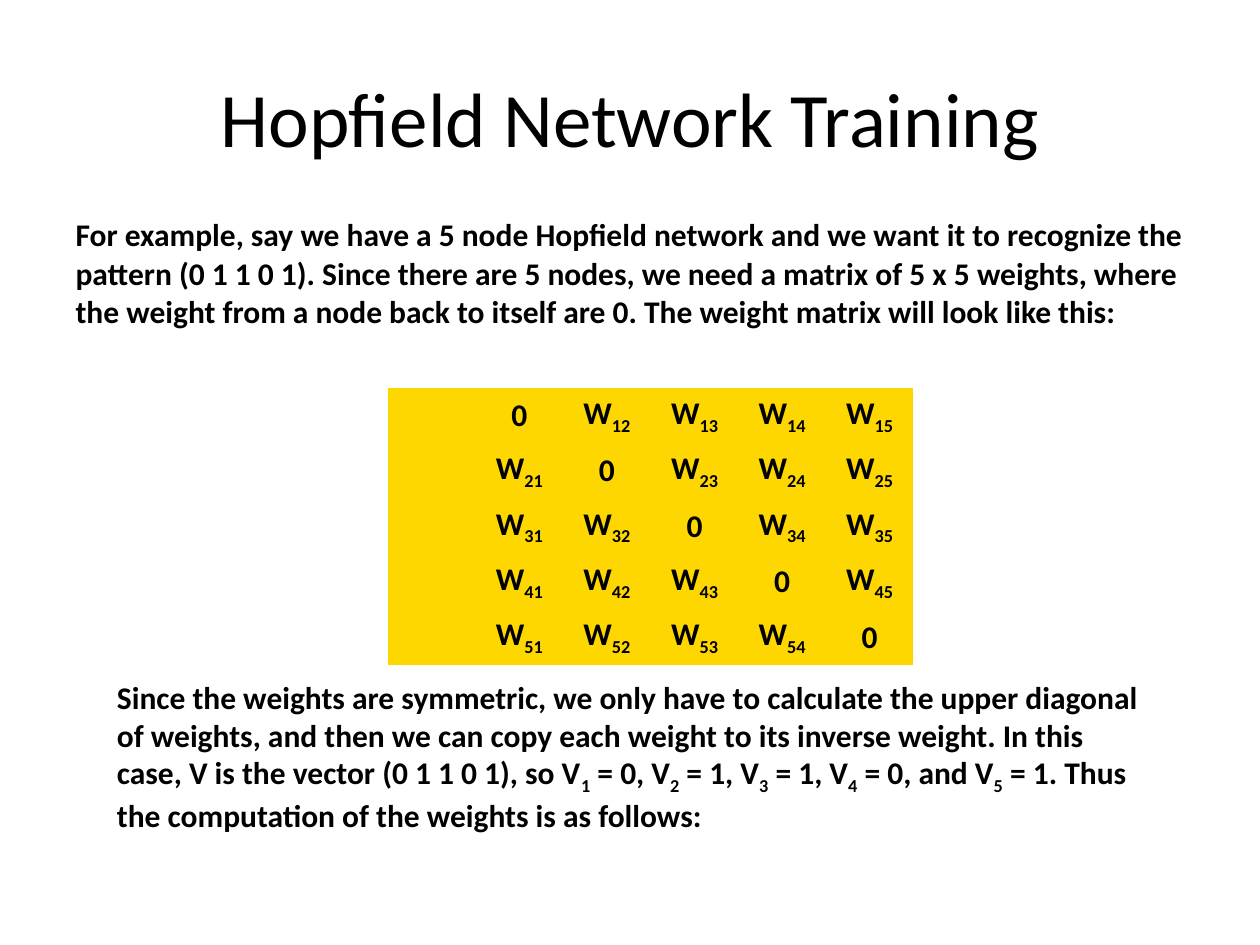
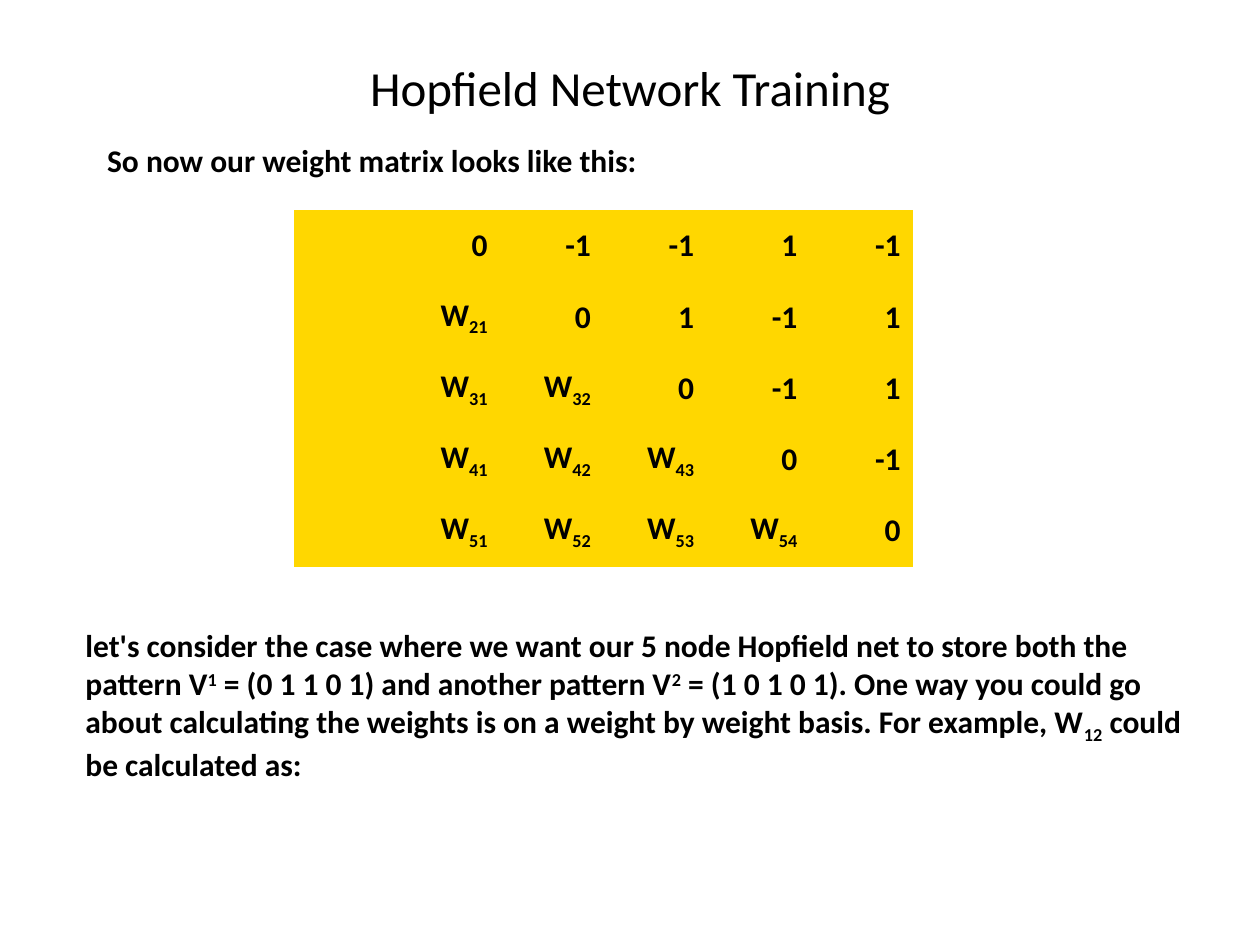
"""Build two slides on training the weight matrix of a Hopfield network."""
import pptx
import pptx.dml.color
import pptx.enum.text
import pptx.util

FONT = "Calibri"
BLACK = "000000"
GOLD = "FFD700"
TITLE = "Hopfield Network Training"
NODES = 5
BODY_SIZE = 18
PLAIN_TABLE_STYLE = "{2D5ABB26-0587-4C30-8999-92F81FD0307C}"
BASELINES = {"_": "-25000", "^": "30000"}
ALIGN = pptx.enum.text.PP_ALIGN
ANCHOR = pptx.enum.text.MSO_ANCHOR


def color(hex_string):
    """Turn a hex string into a colour."""
    return pptx.dml.color.RGBColor.from_string(hex_string)


def write(paragraph, marked_text, size=BODY_SIZE, bold=True, alignment=ALIGN.LEFT):
    """Write text whose pieces, parted by |, are lowered by _ or raised by ^."""
    paragraph.alignment = alignment
    for piece in filter(None, marked_text.split("|")):
        run = paragraph.add_run()
        run.text = piece.lstrip("_^")
        run.font.name = FONT
        run.font.size = pptx.util.Pt(size)
        run.font.bold = bold
        run.font.color.rgb = color(BLACK)
        if piece[0] in BASELINES:
            run._r.get_or_add_rPr().set("baseline", BASELINES[piece[0]])


symbolic_weights = [
    ["0" if row == column else f"W|_{row}{column}" for column in range(1, NODES + 1)]
    for row in range(1, NODES + 1)
]
pattern = [0, 1, 1, 0, 1]
signs = [2 * value - 1 for value in pattern]
computed_weights = [
    [str(signs[row] * signs[column]) if column > row else symbolic_weights[row][column]
     for column in range(NODES)]
    for row in range(NODES)
]

slides = [
    {
        "title_size": 44,
        "title_height": 1.25,
        "intro": "For example, say we have a 5 node Hopfield network and we want it to "
                 "recognize the pattern (0 1 1 0 1). Since there are 5 nodes, we need a "
                 "matrix of 5 x 5 weights, where the weight from a node back to itself "
                 "are 0. The weight matrix will look like this:",
        "intro_box": (0.5, 1.67, 9, 1),
        "weights": symbolic_weights,
        "matrix_box": (3.08, 3.08, 4.17, 2),
        "matrix_alignment": ALIGN.CENTER,
        "closing": "Since the weights are symmetric, we only have to calculate the upper "
                   "diagonal of weights, and then we can copy each weight to its inverse "
                   "weight. In this case, V is the vector (0 1 1 0 1), so V|_1| = 0, "
                   "V|_2| = 1, V|_3| = 1, V|_4| = 0, and V|_5| = 1. Thus the computation "
                   "of the weights is as follows:",
        "closing_box": (0.83, 5.33, 8.42, 1.31),
    },
    {
        "title_size": 28,
        "title_height": 0.78,
        "intro": "So now our weight matrix looks like this:",
        "intro_box": (0.75, 1.08, 6.15, 0.4),
        "weights": computed_weights,
        "matrix_box": (2.33, 1.67, 4.92, 2.83),
        "matrix_alignment": ALIGN.RIGHT,
        "closing": "let's consider the case where we want our 5 node Hopfield net to store "
                   "both the pattern V|^1| = (0 1 1 0 1) and another pattern V|^2| = "
                   "(1 0 1 0 1). One way you could go about calculating the weights is on "
                   "a weight by weight basis. For example, W|_12| could be calculated as:",
        "closing_box": (0.58, 4.92, 9, 1.31),
    },
]

presentation = pptx.Presentation()
presentation.slide_width = pptx.util.Inches(10)
presentation.slide_height = pptx.util.Inches(7.5)
title_only_layout = presentation.slide_layouts[5]

for content in slides:
    slide = presentation.slides.add_slide(title_only_layout)
    title = slide.shapes.title
    title.left, title.top, title.width, title.height = map(
        pptx.util.Inches, (0.5, 0.3, 9, content["title_height"]))
    title.text_frame.vertical_anchor = ANCHOR.MIDDLE
    write(title.text_frame.paragraphs[0], TITLE, content["title_size"], False, ALIGN.CENTER)

    matrix_rows = [[""] + weights for weights in content["weights"]]
    for rows, box, alignment, fill in (
        ([[content["intro"]]], content["intro_box"], ALIGN.LEFT, None),
        (matrix_rows, content["matrix_box"], content["matrix_alignment"], GOLD),
    ):
        frame = slide.shapes.add_table(len(rows), len(rows[0]), *map(pptx.util.Inches, box))
        table = frame.table
        table.first_row = table.horz_banding = False
        table._tbl.tblPr.find(pptx.oxml.ns.qn("a:tableStyleId")).text = PLAIN_TABLE_STYLE
        for cell, marked_text in zip(table.iter_cells(), sum(rows, [])):
            cell.vertical_anchor = ANCHOR.MIDDLE
            write(cell.text_frame.paragraphs[0], marked_text, alignment=alignment)
            if fill:
                cell.fill.solid()
                cell.fill.fore_color.rgb = color(fill)
            else:
                cell.fill.background()

    closing = slide.shapes.add_textbox(*map(pptx.util.Inches, content["closing_box"]))
    closing.text_frame.word_wrap = True
    closing.text_frame.auto_size = pptx.enum.text.MSO_AUTO_SIZE.SHAPE_TO_FIT_TEXT
    write(closing.text_frame.paragraphs[0], content["closing"])

presentation.save("out.pptx")
